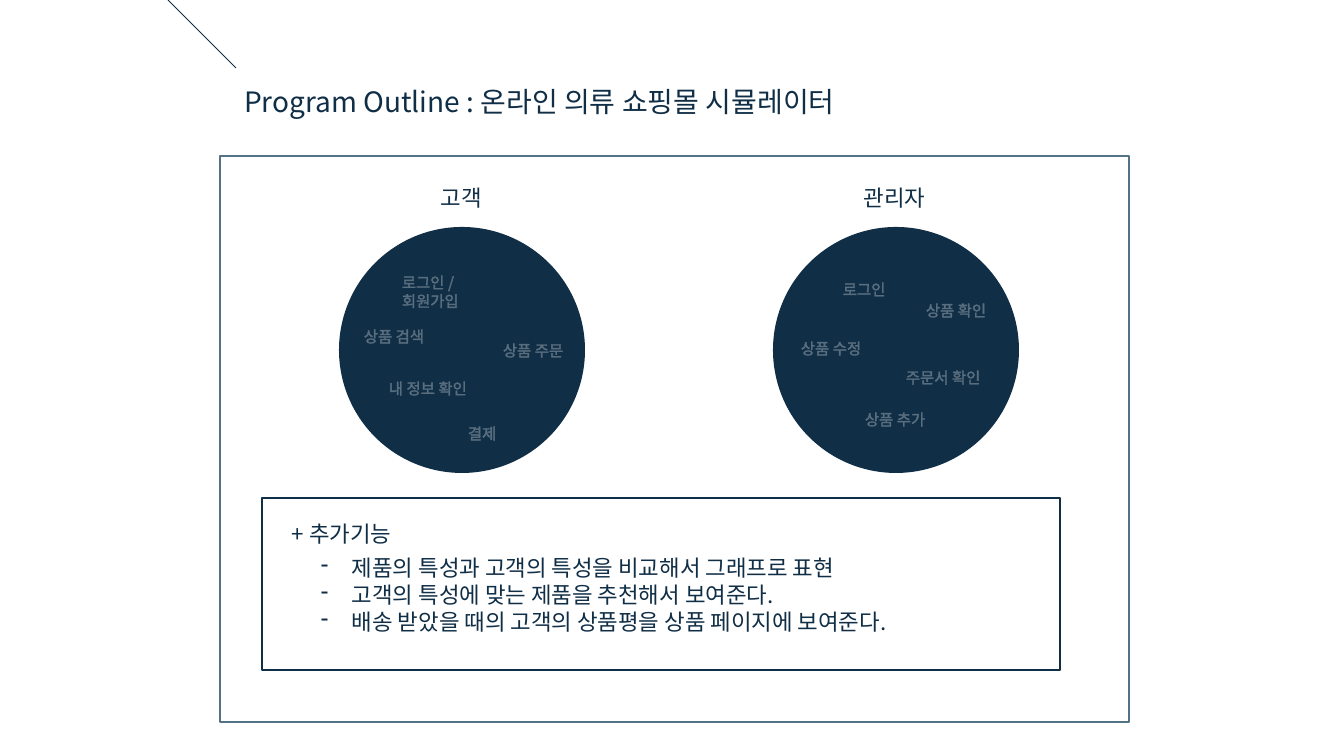
from dataclasses import dataclass

from lxml.etree import SubElement
from pptx import Presentation
from pptx.dml.color import RGBColor
from pptx.enum.shapes import MSO_CONNECTOR, MSO_SHAPE
from pptx.enum.text import MSO_ANCHOR, MSO_AUTO_SIZE, PP_ALIGN
from pptx.oxml import parse_xml
from pptx.oxml.ns import nsdecls, qn
from pptx.util import Emu, Pt


@dataclass(frozen=True)
class Theme:
    """Colours, type sizes and font of the slide."""
    navy: str = "102E46"
    slate: str = "537285"
    white: str = "FFFFFF"
    font: str = "Noto Sans CJK KR"
    title: int = 20
    body: int = 16
    label: int = 11


THEME = Theme()
INDENT = 31
CIRCLE = 246
LABEL = 29

CLIENT = [
    ("로그인 /\v회원가입", 53, 41, 138),
    ("상품 검색", 15, 95, 85),
    ("상품 주문", 154, 109, 83),
    ("내 정보 확인", 40, 147, 104),
    ("결제", 119, 192, 50),
]
ADMIN = [
    ("로그인", 60, 48, 64),
    ("상품 확인", 143, 69, 85),
    ("상품 수정", 18, 107, 83),
    ("주문서 확인", 123, 136, 98),
    ("상품 추가", 82, 178, 83),
]
EXTRAS = [
    "제품의 특성과 고객의 특성을 비교해서 그래프로 표현",
    "고객의 특성에 맞는 제품을 추천해서 보여준다.",
    "배송 받았을 때의 고객의 상품평을 상품 페이지에 보여준다.",
]


def px(count):
    """Turn whole pixels into EMU."""
    return Emu(round(count * 914400 / 100.8))


def rgb(code):
    """Turn a hex code into a colour."""
    return RGBColor.from_string(code)


def style(run, size, color):
    """Give a run its font, colour and faint outline."""
    run.font.size = Pt(size)
    run.font.name = THEME.font
    run.font.color.rgb = rgb(color)
    props = run.font._element
    SubElement(props, qn("a:ea"), typeface=THEME.font)
    props.insert(0, parse_xml(
        f'<a:ln {nsdecls("a")} w="9525"><a:solidFill><a:srgbClr val="{color}">'
        '<a:alpha val="30000"/></a:srgbClr></a:solidFill></a:ln>'))


def write(slide, text, box, size=THEME.body, color=THEME.navy,
          bullet=None, shape=None):
    """Place text, one paragraph a line, in a box or a given shape."""
    place = [px(side) for side in box]
    if shape is None:
        shape = slide.shapes.add_textbox(*place)
    shape.left, shape.top, shape.width, shape.height = place
    frame = shape.text_frame
    frame.text = text
    frame.word_wrap = False
    frame.auto_size = MSO_AUTO_SIZE.SHAPE_TO_FIT_TEXT
    frame.vertical_anchor = MSO_ANCHOR.TOP
    for para in frame.paragraphs:
        para.alignment = PP_ALIGN.LEFT
        para.line_spacing = 1.0
        if bullet:
            props = para._p.get_or_add_pPr()
            props.set("marL", str(px(INDENT)))
            props.set("indent", str(-px(INDENT)))
            SubElement(props, qn("a:buChar"), char=bullet)
        for run in para.runs:
            style(run, size, color)


def draw(slide, kind, box, fill=None, line=None):
    """Draw a preset shape with a flat fill or a plain border."""
    shape = slide.shapes.add_shape(kind, *[px(side) for side in box])
    shape.shadow.inherit = False
    if fill:
        shape.fill.solid()
        shape.fill.fore_color.rgb = rgb(fill)
    else:
        shape.fill.background()
    if line:
        shape.line.color.rgb = rgb(line)
        shape.line.width = Pt(1.5)
    else:
        shape.line.fill.background()


def header(slide, left, top):
    """Draw the corner stroke and the title."""
    stroke = slide.shapes.add_connector(
        MSO_CONNECTOR.STRAIGHT, px(left), px(top), px(left + 68), px(top + 68))
    stroke.line.color.rgb = rgb(THEME.navy)
    stroke.line.width = Pt(0.75)
    SubElement(stroke._element.spPr, qn("a:effectLst"))
    write(slide, "Program Outline : 온라인 의류 쇼핑몰 시뮬레이터",
          (left + 66, top + 79, 628, 44), size=THEME.title,
          shape=slide.shapes.title)


def role(slide, left, top, name, width, tasks):
    """Draw a role's circle with its name above and tasks inside."""
    draw(slide, MSO_SHAPE.OVAL, (left, top, CIRCLE, CIRCLE), fill=THEME.navy)
    write(slide, name, (left + (CIRCLE - width) // 2, top - 48, width, 37))
    for task, across, down, wide in tasks:
        write(slide, task, (left + across, top + down, wide, LABEL),
              size=THEME.label, color=THEME.white)


def extras(slide, left, top, width, height):
    """Draw the framed list of added features."""
    draw(slide, MSO_SHAPE.RECTANGLE, (left, top, width, height),
         line=THEME.navy)
    write(slide, "+ 추가기능", (left + 20, top + 17, 127, 37))
    write(slide, "\n".join(EXTRAS), (left + 49, top + 51, 610, 92), bullet="-")


def main():
    """Build and save the slide."""
    deck = Presentation()
    deck.slide_width, deck.slide_height = px(1344), px(756)
    slide = deck.slides.add_slide(deck.slide_layouts[5])
    draw(slide, MSO_SHAPE.RECTANGLE, (220, 156, 909, 566), line=THEME.slate)
    header(slide, 168, 0)
    role(slide, 339, 227, "고객", 62, CLIENT)
    role(slide, 773, 227, "관리자", 83, ADMIN)
    extras(slide, 262, 498, 798, 172)
    deck.save("out.pptx")


if __name__ == "__main__":
    main()
